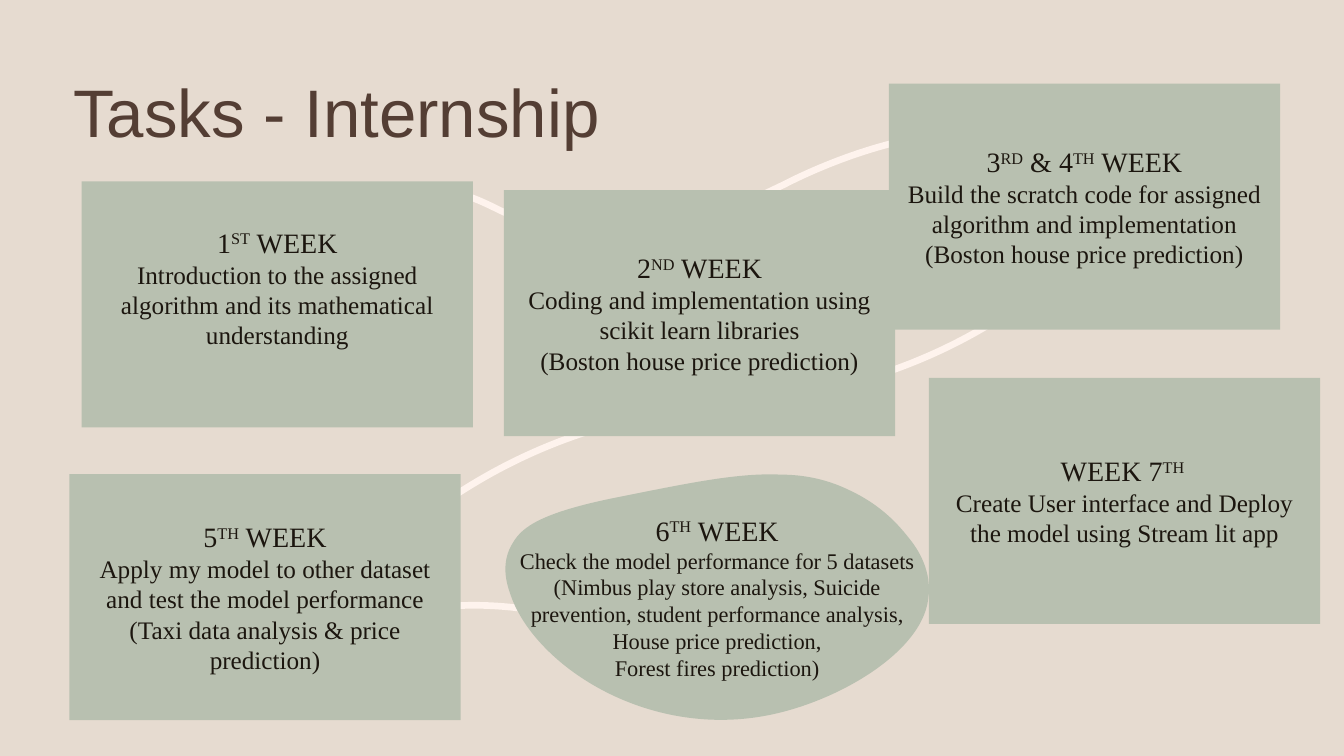
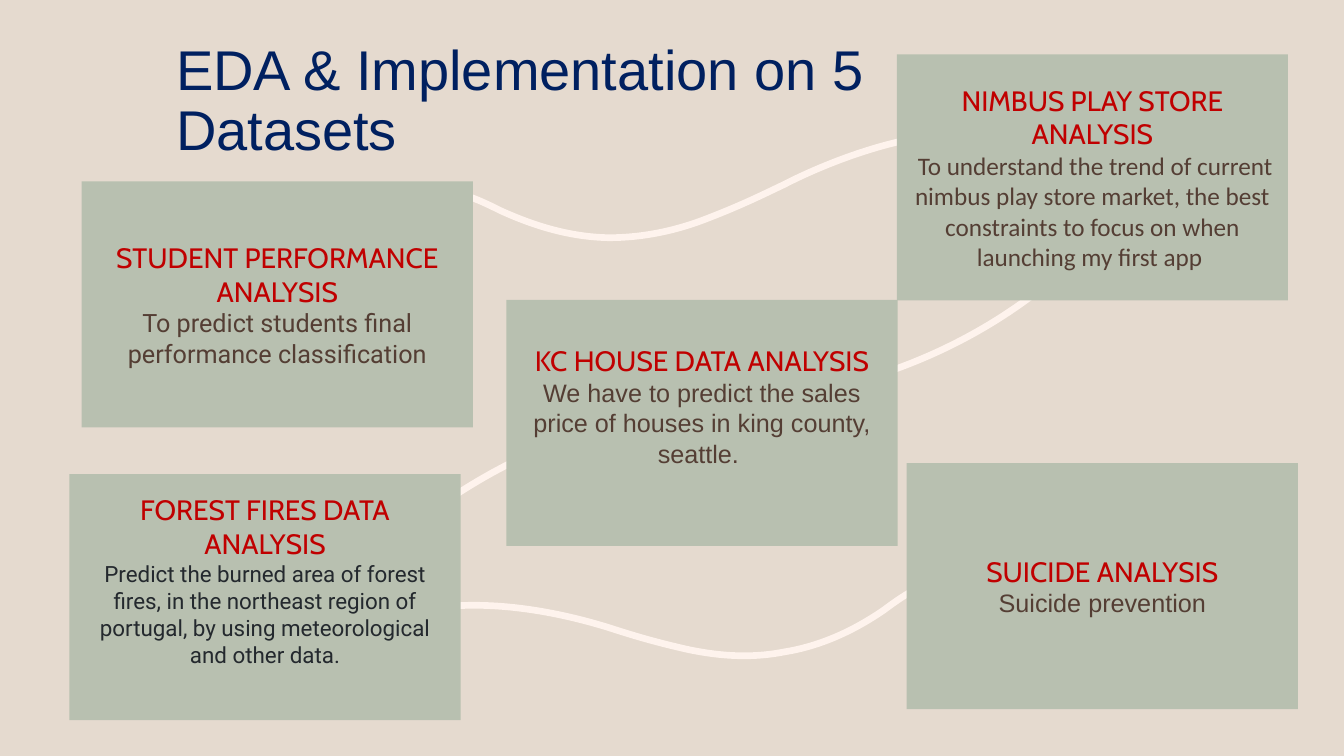
from pptx import Presentation
from pptx.dml.color import RGBColor
from pptx.enum.shapes import MSO_SHAPE
from pptx.enum.text import MSO_ANCHOR, PP_ALIGN
from pptx.oxml import parse_xml
from pptx.oxml.ns import nsdecls, qn
from pptx.util import Cm, Pt

RECT = MSO_SHAPE.RECTANGLE
MIDDLE = MSO_ANCHOR.MIDDLE
CENTER, LEFT = PP_ALIGN.CENTER, PP_ALIGN.LEFT

SAND = RGBColor(0xE6, 0xDB, 0xD0)
SAND_DARK = RGBColor(0xE5, 0xDA, 0xCF)
SAGE = RGBColor(0xB8, 0xC0, 0xB0)
CREAM = RGBColor(0xFE, 0xF3, 0xED)
BROWN = RGBColor(0x54, 0x3E, 0x34)
INK = RGBColor(0x1C, 0x16, 0x0F)
SLATE = RGBColor(0x24, 0x29, 0x2E)
RED = RGBColor(0xC0, 0x00, 0x00)
NAVY = RGBColor(0x00, 0x20, 0x60)

SERIF, SANS = "Times New Roman", "Arial"
CARD_W, CARD_H = 9.86, 6.2
HEAD_SIZE = 20
LEADING = 1.2        # line pitch as a multiple of the text size
LIFT = 0.85          # extra bottom inset of cards whose text sits higher

# Curves in cm: a start point, then two control points and an end per segment
WAVES = [
    [(21.16, 9.73), (23.19, 9.22), (25.02, 8.31), (26.59, 6.99)],
    [(14.83, 10.87), (12.93, 11.48), (11.3, 12.45), (9.88, 13.69)],
    [(7.8, 5.66), (8.89, 4.75), (10.11, 4.5), (11.4, 4.83),
     (11.84, 4.93), (12.22, 5.11), (12.62, 5.31),
     (13.46, 5.69), (14.35, 5.97), (15.34, 5.99),
     (16.18, 5.99), (17.02, 5.82), (17.81, 5.51),
     (18.72, 5.16), (19.23, 4.9), (19.76, 4.65),
     (20.35, 4.34), (23.88, 2.62), (26.09, 3.71)],
    [(23.37, 14.71), (22.96, 14.88), (22.63, 15.11), (22.28, 15.37),
     (21.54, 15.88), (20.7, 16.28), (19.76, 16.43),
     (18.95, 16.59), (18.14, 16.54), (17.3, 16.36),
     (16.38, 16.15), (15.85, 15.98), (15.29, 15.8),
     (14.68, 15.62), (11.02, 14.48), (8.81, 16.15)],
]
PEBBLE = [
    (19.66, 11.96), (20.29, 11.96), (20.88, 12.09), (21.44, 12.37),
    (22.2, 12.73), (22.63, 13.21), (22.89, 13.54),
    (23.14, 13.84), (23.5, 14.4), (23.39, 15.11),
    (23.22, 16.43), (21.16, 17.65), (19.43, 18.01),
    (16.28, 18.67), (13.41, 16.71), (12.85, 14.94),
    (12.75, 14.66), (12.62, 14.15), (12.93, 13.67),
    (13.16, 13.28), (13.64, 12.9), (15.72, 12.5),
    (17.37, 12.17), (18.62, 11.91), (19.66, 11.96),
]

# Cards: (left, top) or an outline, heading (^raised^), body paragraphs, changes
TASKS = {
    "bg": SAND, "title": "Tasks - Internship",
    "title_box": (1.6, 1.94, 25.4, 1.88), "title_size": 48, "title_color": BROWN,
    "style": {"head_font": SERIF, "head_color": INK,
              "font": SERIF, "color": INK, "size": 18, "lift": 0},
    "cards": [
        ((2.06, 4.57), "1^ST^ WEEK",
         ["Introduction to the assigned algorithm and its mathematical understanding"],
         {"lift": LIFT}),
        ((12.7, 4.79), "2^ND^ WEEK",
         ["Coding and implementation using scikit learn libraries",
          "(Boston house price prediction)"], {}),
        ((22.4, 2.11), "3^RD^ & 4^TH^ WEEK",
         ["Build the scratch code for assigned algorithm and implementation",
          "(Boston house price prediction)"], {}),
        ((1.75, 11.95), "5^TH^ WEEK",
         ["Apply my model to other dataset and test the model performance",
          "(Taxi data analysis & price prediction)"], {}),
        ((23.41, 9.52), "WEEK 7^TH ^",
         ["Create User interface and Deploy the model using Stream lit app"], {}),
        (PEBBLE, "6^TH^ WEEK",
         ["Check the model performance for 5 datasets",
          "(Nimbus play store analysis, Suicide prevention, "
          "student performance analysis, House price prediction,",
          "Forest fires prediction)"], {"size": 16}),
    ],
}
DATASETS = {
    "bg": SAND_DARK, "title": "EDA & Implementation on 5 Datasets",
    "title_box": (4.19, 1.62, 17.93, 1.88), "title_size": 40, "title_color": NAVY,
    "style": {"head_font": "Cabin", "head_color": RED,
              "font": SANS, "color": BROWN, "size": 18, "lift": 0},
    "cards": [
        ((22.6, 1.37), "NIMBUS PLAY STORE ANALYSIS",
         [" To understand the trend of current nimbus play store market, the best "
          "constraints to focus on when launching my first app "],
         {"font": "Calibri"}),
        ((2.06, 4.57), "STUDENT PERFORMANCE ANALYSIS",
         ["To predict students final performance classification"],
         {"font": "Roboto"}),
        ((12.76, 7.56), "KC HOUSE DATA ANALYSIS",
         ["We have to predict the sales price of houses in king county, seattle. "],
         {"lift": LIFT}),
        ((22.85, 11.67), "SUICIDE ANALYSIS", ["Suicide prevention"], {}),
        ((1.75, 11.95), "FOREST FIRES DATA ANALYSIS",
         ["Predict the burned area of forest fires, in the northeast region of "
          "portugal, by using meteorological and other data."],
         {"font": "Roboto", "size": 16, "color": SLATE, "lift": LIFT}),
    ],
}


def curve_range(values, steps=40):
    """Lowest and highest value that a chain of cubic curves reaches."""
    reached = [values[0]]
    for i in range(0, len(values) - 1, 3):
        a, b, c, d = values[i:i + 4]
        for k in range(1, steps + 1):
            t = k / steps
            u = 1 - t
            reached.append(u ** 3 * a + 3 * u * u * t * b
                           + 3 * u * t * t * c + t ** 3 * d)
    return int(min(reached)), int(max(reached))


def add_curve(s, nodes, close):
    """Freeform whose line segments are joined, by threes, into cubic curves."""
    points = [(Cm(x), Cm(y)) for x, y in nodes]
    builder = s.shapes.build_freeform(*points[0])
    builder.add_line_segments(points[1:], close=close)
    sp = builder.convert_to_shape()
    sp.shadow.inherit = False
    outline = next(sp._element.iter(qn("a:path")))
    # Fit the frame to the curve instead of its control points
    (x0, x1), (y0, y1) = map(curve_range, zip(*points))
    dx, dy = sp.left - x0, sp.top - y0
    for pt in outline.iter(qn("a:pt")):
        pt.set("x", str(int(pt.get("x")) + dx))
        pt.set("y", str(int(pt.get("y")) + dy))
    outline.set("w", str(x1 - x0))
    outline.set("h", str(y1 - y0))
    sp.left, sp.top, sp.width, sp.height = x0, y0, x1 - x0, y1 - y0
    segments = outline.findall(qn("a:lnTo"))
    for i in range(0, len(segments), 3):
        curve = parse_xml(f"<a:cubicBezTo {nsdecls('a')}/>")
        segments[i].addprevious(curve)
        for segment in segments[i:i + 3]:
            curve.append(segment[0])
            outline.remove(segment)
    return sp


def add_text(p, text, font, size, color, align, spacing=LEADING):
    """Fill a paragraph; text between ^ marks is raised."""
    p.alignment = align
    p.line_spacing = Pt(round(size * spacing, 1))
    for i, part in enumerate(text.split("^")):
        if not part:
            continue
        r = p.add_run()
        r.text = part
        r.font.name, r.font.size = font, Pt(size)
        r.font.color.rgb = color
        if i % 2:
            r._r.get_or_add_rPr().set("baseline", "30000")


def add_card(s, place, heading, body, style):
    if isinstance(place, list):
        sp = add_curve(s, place, True)
    else:
        x, y = place
        sp = s.shapes.add_shape(RECT, Cm(x), Cm(y), Cm(CARD_W), Cm(CARD_H))
        sp.shadow.inherit = False
    sp.fill.solid()
    sp.fill.fore_color.rgb = SAGE
    sp.line.fill.background()
    tf = sp.text_frame
    tf.word_wrap = True
    tf.vertical_anchor = MIDDLE
    tf.margin_bottom = Cm(0.13 + style["lift"])
    add_text(tf.paragraphs[0], heading, style["head_font"], HEAD_SIZE,
             style["head_color"], CENTER)
    for text in body:
        add_text(tf.add_paragraph(), text, style["font"], style["size"],
                 style["color"], CENTER)


def add_title(s, data):
    sp = s.shapes.add_textbox(*map(Cm, data["title_box"]))
    tf = sp.text_frame
    tf.word_wrap = True
    tf.vertical_anchor = MIDDLE
    add_text(tf.paragraphs[0], data["title"], SANS, data["title_size"],
             data["title_color"], LEFT, 0.9 * LEADING)


def add_slide(prs, data):
    s = prs.slides.add_slide(prs.slide_layouts[6])
    s.background.fill.solid()
    s.background.fill.fore_color.rgb = data["bg"]
    # Waves behind the cards
    for nodes in WAVES:
        sp = add_curve(s, nodes, False)
        sp.fill.background()
        sp.line.color.rgb = CREAM
        sp.line.width = Pt(4.75)
    # Title and cards
    add_title(s, data)
    for place, heading, body, changes in data["cards"]:
        add_card(s, place, heading, body, {**data["style"], **changes})


def main():
    prs = Presentation()
    prs.slide_width, prs.slide_height = Cm(33.87), Cm(19.05)
    for data in (TASKS, DATASETS):
        add_slide(prs, data)
    prs.save("out.pptx")


if __name__ == "__main__":
    main()
